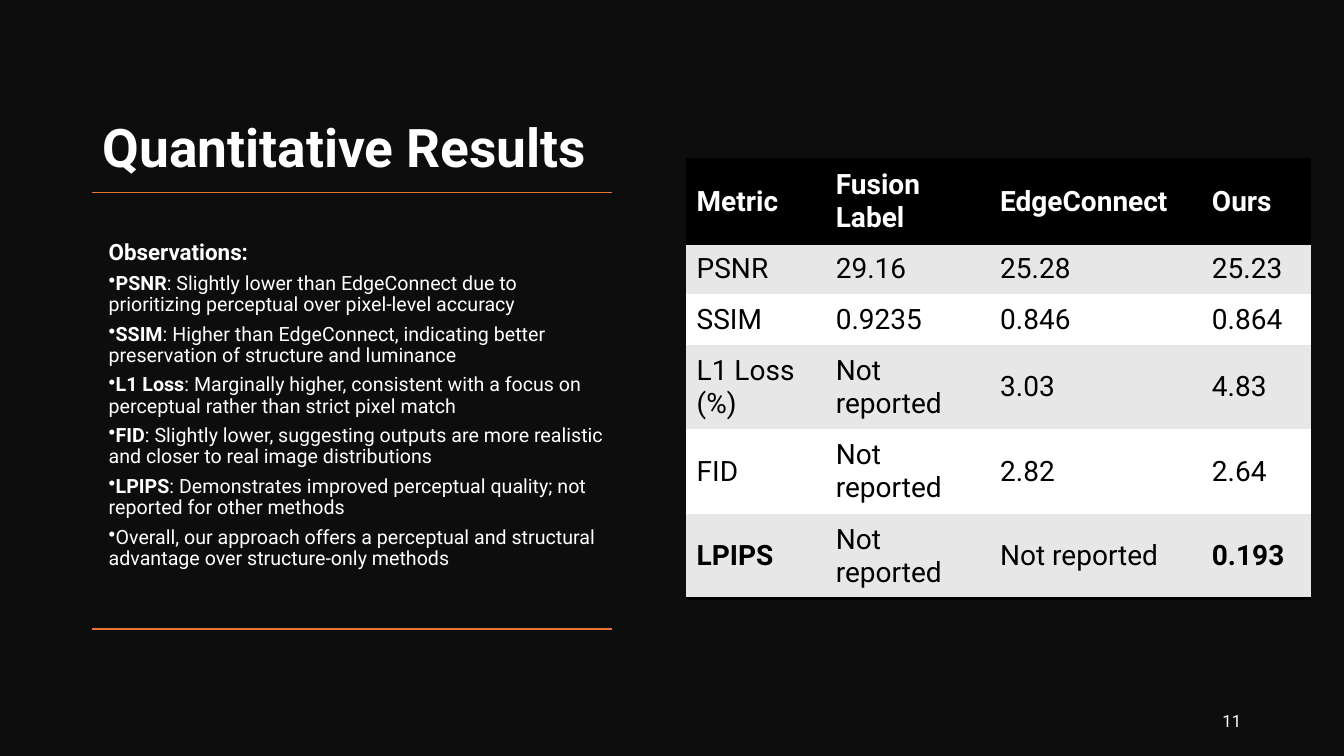
from dataclasses import dataclass
from typing import Any

from lxml.etree import SubElement
from pptx import Presentation
from pptx.dml.color import RGBColor
from pptx.enum.shapes import MSO_CONNECTOR, MSO_SHAPE
from pptx.enum.text import MSO_ANCHOR as Anchor, PP_ALIGN as Align
from pptx.oxml import parse_xml
from pptx.oxml.ns import nsdecls, qn
from pptx.util import Pt

PX = 9144  # EMU per px, 100 px to the inch
FONT = "Roboto"
WHITE, BLACK, GREY = "FFFFFF", "000000", "E7E7E7"
BACKDROP, ORANGE = "0D0D0D", "E97132"
PLAIN_TABLE_STYLE = "{2D5ABB26-0587-4C30-8999-92F81FD0307C}"


@dataclass(frozen=True)
class Box:
    left: int
    top: int
    width: int
    height: int

    def emu(self) -> tuple[int, ...]:
        return tuple(n * PX for n in (self.left, self.top, self.width, self.height))


@dataclass(frozen=True)
class Observation:
    metric: str
    remark: str


@dataclass(frozen=True)
class ResultRow:
    values: tuple[str, str, str, str]
    height: int
    bold_columns: tuple[int, ...] = ()


OBSERVATIONS = [
    Observation("PSNR", ": Slightly lower than EdgeConnect due to prioritizing "
                "perceptual over pixel-level accuracy"),
    Observation("SSIM", ": Higher than EdgeConnect, indicating better preservation "
                "of structure and luminance"),
    Observation("L1 Loss", ": Marginally higher, consistent with a focus on "
                "perceptual rather than strict pixel match"),
    Observation("FID", ": Slightly lower, suggesting outputs are more realistic "
                "and closer to real image distributions"),
    Observation("LPIPS", ": Demonstrates improved perceptual quality; not reported "
                "for other methods"),
    Observation("", "Overall, our approach offers a perceptual and structural "
                "advantage over structure-only methods"),
]

COLUMN_WIDTHS = (138, 163, 210, 109)
RESULTS = [
    ResultRow(("Metric", "Fusion Label", "EdgeConnect", "Ours"), 84, (0, 1, 2, 3)),
    ResultRow(("PSNR", "29.16", "25.28", "25.23"), 50),
    ResultRow(("SSIM", "0.9235", "0.846", "0.864"), 50),
    ResultRow(("L1 Loss (%)", "Not reported", "3.03", "4.83"), 84),
    ResultRow(("FID", "Not reported", "2.82", "2.64"), 84),
    ResultRow(("LPIPS", "Not reported", "Not reported", "0.193"), 84, (0, 3)),
]


def rgb(color: str) -> RGBColor:
    return RGBColor.from_string(color)


def style_font(font: Any, size: int, color: str, bold: bool = False) -> None:
    font.name, font.size, font.bold = FONT, Pt(size), bold
    font.color.rgb = rgb(color)


def add_text_frame(slide: Any, box: Box, anchor: Any) -> Any:
    frame = slide.shapes.add_textbox(*box.emu()).text_frame
    frame.word_wrap = True
    frame.vertical_anchor = anchor
    return frame


def add_backdrop(slide: Any, box: Box) -> None:
    backdrop = slide.shapes.add_shape(MSO_SHAPE.RECTANGLE, *box.emu())
    backdrop.shadow.inherit = False
    backdrop.fill.solid()
    backdrop.fill.fore_color.rgb = rgb(BACKDROP)
    backdrop.line.fill.background()


def add_rule(slide: Any, y: int) -> None:
    rule = slide.shapes.add_connector(
        MSO_CONNECTOR.STRAIGHT, 607 * PX, y * PX, 91 * PX, y * PX)
    rule.line.color.rgb = rgb(ORANGE)
    rule.line.width = Pt(1)
    SubElement(rule._element.spPr, qn("a:effectLst"))


def add_title(slide: Any) -> None:
    title = add_text_frame(slide, Box(92, 49, 515, 134), Anchor.BOTTOM).paragraphs[0]
    title.text = "Quantitative Results"
    title.line_spacing = 0.9
    style_font(title.font, 38, WHITE, bold=True)


def add_bullet(paragraph: Any) -> None:
    """Hang a bullet at the left edge, directly before the text."""
    properties = paragraph._p.get_or_add_pPr()
    properties.set("marL", "0")
    properties.set("indent", str(-25 * PX))
    SubElement(properties, qn("a:buChar"), char="•")


def add_observations(slide: Any) -> None:
    frame = add_text_frame(slide, Box(98, 234, 516, 443), Anchor.TOP)
    heading = frame.paragraphs[0]
    heading.text = "Observations:"
    style_font(heading.font, 16, WHITE, bold=True)
    for observation in OBSERVATIONS:
        item = frame.add_paragraph()
        add_bullet(item)
        style_font(item.font, 14, WHITE)
        if observation.metric:
            metric = item.add_run()
            metric.text = observation.metric
            metric.font.bold = True
        item.add_run().text = observation.remark
    for paragraph in frame.paragraphs:
        paragraph.line_spacing = 0.9
        paragraph.space_after = Pt(6)


def add_page_number(slide: Any) -> None:
    number = add_text_frame(slide, Box(1017, 695, 224, 40), Anchor.MIDDLE).paragraphs[0]
    number.text = "11"
    number.alignment = Align.RIGHT
    number.space_after = Pt(6)
    style_font(number.font, 12, WHITE)


def add_borders(cell: Any, sides: tuple[str, ...]) -> None:
    """Draw 2 pt black borders; sides are in schema order, T before B."""
    properties = cell._tc.get_or_add_tcPr()
    for position, side in enumerate(sides):
        properties.insert(position, parse_xml(
            f'<a:ln{side} {nsdecls("a")} w="{Pt(2)}"><a:solidFill>'
            f'<a:srgbClr val="{BLACK}"/></a:solidFill></a:ln{side}>'))


def fill_cell(cell: Any, value: str, fill: str, color: str, bold: bool) -> None:
    cell.fill.solid()
    cell.fill.fore_color.rgb = rgb(fill)
    cell.vertical_anchor = Anchor.MIDDLE
    cell.margin_left = cell.margin_right = 11 * PX
    cell.margin_top = cell.margin_bottom = 6 * PX
    paragraph = cell.text_frame.paragraphs[0]
    paragraph.text = value
    style_font(paragraph.font, 20, color, bold)


def add_results_table(slide: Any) -> None:
    box = Box(680, 158, sum(COLUMN_WIDTHS), sum(row.height for row in RESULTS))
    table = slide.shapes.add_table(len(RESULTS), len(COLUMN_WIDTHS), *box.emu()).table
    table._tbl.tblPr.find(qn("a:tableStyleId")).text = PLAIN_TABLE_STYLE
    for column, width in zip(table.columns, COLUMN_WIDTHS):
        column.width = width * PX
    last = len(RESULTS) - 1
    for r, result in enumerate(RESULTS):
        table.rows[r].height = result.height * PX
        fill = BLACK if r == 0 else (GREY if r % 2 else WHITE)
        color = WHITE if r == 0 else BLACK
        sides = {0: ("T", "B"), last: ("B",)}.get(r, ())
        for c, value in enumerate(result.values):
            cell = table.cell(r, c)
            fill_cell(cell, value, fill, color, c in result.bold_columns)
            add_borders(cell, sides)


def main() -> None:
    presentation = Presentation()
    page = Box(0, 0, 1333, 750)
    presentation.slide_width, presentation.slide_height = page.emu()[2:]
    slide = presentation.slides.add_slide(presentation.slide_layouts[6])
    add_backdrop(slide, page)
    add_title(slide)
    add_rule(slide, 191)
    add_observations(slide)
    add_rule(slide, 624)
    add_page_number(slide)
    add_results_table(slide)
    presentation.save("out.pptx")


if __name__ == "__main__":
    main()
